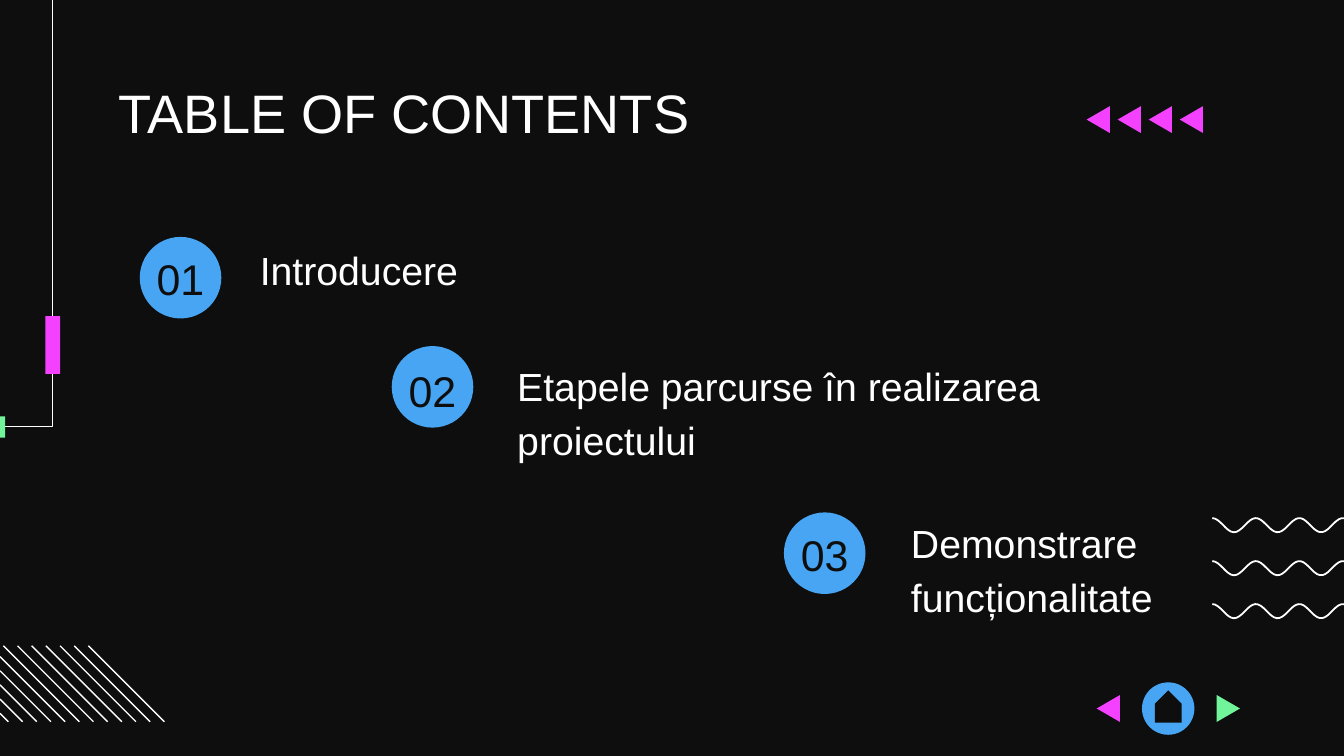
from math import cos, pi

from pptx import Presentation
from pptx.dml.color import RGBColor as Rgb
from pptx.enum.shapes import MSO_SHAPE as Preset
from pptx.enum.text import MSO_ANCHOR as Anchor, PP_ALIGN as Align
from pptx.util import Inches, Pt

COLUMNS = 100
SLIDE_WIDTH = Inches(10)
SLIDE_HEIGHT = SLIDE_WIDTH * 9 // 16
CELL = SLIDE_WIDTH / COLUMNS

COLORS = {
    "night": "0E0E0E",
    "white": "FFFFFF",
    "blue": "47A5F3",
    "pink": "F341FF",
    "green": "72F49A",
}
FONT = "Arial"

CHAPTERS = [
    ("01", "Introducere", (10.4, 17.63), 16.8, (18.35, 17.8), 31.6),
    ("02", "Etapele parcurse în realizarea proiectului", (29.15, 25.75), 25.15, (37.5, 26.45), 42.5),
    ("03", "Demonstrare funcționalitate", (58.33, 38.13), 37.3, (66.8, 38.1), 31.6),
]
BADGE = 6.07
LABEL_WIDTH = 9
ARROW_WIDTH, ARROW_HEIGHT = 1.73, 2


def grid(cells):
    return round(cells * CELL)


def color(name):
    return Rgb.from_string(COLORS[name])


def paint(shape, name):
    shape.shadow.inherit = False
    shape.fill.solid()
    shape.fill.fore_color.rgb = color(name)
    shape.line.fill.background()
    return shape


def add_preset(slide, preset, left, top, width, height, name):
    shape = slide.shapes.add_shape(preset, grid(left), grid(top), grid(width), grid(height))
    return paint(shape, name)


def add_outline(slide, points, closed):
    start, *rest = [(grid(x), grid(y)) for x, y in points]
    builder = slide.shapes.build_freeform(*start)
    builder.add_line_segments(rest, close=closed)
    return builder.convert_to_shape()


def add_stroke(slide, points, weight=0.75):
    stroke = add_outline(slide, points, False)
    stroke.shadow.inherit = False
    stroke.fill.background()
    stroke.line.color.rgb = color("white")
    stroke.line.width = Pt(weight)


def add_arrow(slide, left, top, name, points_left=True):
    right = left + ARROW_WIDTH
    tip, base = (left, right) if points_left else (right, left)
    corners = [(base, top), (tip, top + ARROW_HEIGHT / 2), (base, top + ARROW_HEIGHT)]
    paint(add_outline(slide, corners, True), name)


def add_text(slide, words, place, size, name, top_inset=0, align=Align.LEFT, spacing=1):
    box = slide.shapes.add_textbox(*map(grid, place))
    frame = box.text_frame
    frame.word_wrap = True
    frame.vertical_anchor = Anchor.TOP
    frame.margin_left = frame.margin_right = frame.margin_bottom = grid(1)
    frame.margin_top = grid(top_inset)
    paragraph = frame.paragraphs[0]
    paragraph.text = words
    paragraph.alignment = align
    paragraph.line_spacing = spacing
    paragraph.font.name = FONT
    paragraph.font.size = Pt(size)
    paragraph.font.color.rgb = color(name)


def add_waves(slide):
    left, depth, half_period, step = 90.2, 1.05, 1.62, 0.2
    for top in (38.55, 41.75, 44.95):
        xs = [left + step * i for i in range(50)]
        add_stroke(slide, [(x, top + depth / 2 * (1 - cos(pi * (x - left) / half_period)))
                           for x in xs], 0.95)


def add_stripes(slide):
    top, side, pitch, last = 48.05, 5.65, 1.055, 6.58
    for i in range(12):
        left = last - pitch * i
        cut = max(0, -left)
        add_stroke(slide, [(left + cut, top + cut), (left + side, top + side)])


def add_corner(slide):
    add_stroke(slide, [(0, 31.75), (3.9, 31.75), (3.9, 0)])
    add_preset(slide, Preset.RECTANGLE, 0, 30.98, 0.38, 1.6, "green")
    add_preset(slide, Preset.RECTANGLE, 3.37, 23.53, 1.1, 4.3, "pink")


def add_chapter(slide, number, subject, badge, label_top, subject_at, subject_width):
    left, top = badge
    add_preset(slide, Preset.OVAL, left, top, BADGE, BADGE, "blue")
    label_left = left + (BADGE - LABEL_WIDTH) / 2
    add_text(slide, number, (label_left, label_top, LABEL_WIDTH, BADGE), 23, "night",
             top_inset=2, align=Align.CENTER)
    add_text(slide, subject, (*subject_at, subject_width, 3.9), 21, "white", spacing=1.15)


def add_navigation(slide):
    add_preset(slide, Preset.OVAL, 84.97, 50.77, 3.9, 3.9, "blue")
    home = add_preset(slide, Preset.PENTAGON, 85.73, 51.57, 2.4, 2, "night")
    home.rotation = 270
    add_arrow(slide, 81.6, 51.72, "pink")
    add_arrow(slide, 90.53, 51.72, "green", points_left=False)


def main():
    deck = Presentation()
    deck.slide_width, deck.slide_height = SLIDE_WIDTH, SLIDE_HEIGHT
    slide = deck.slides.add_slide(deck.slide_layouts[6])
    slide.background.fill.solid()
    slide.background.fill.fore_color.rgb = color("night")

    add_waves(slide)
    add_stripes(slide)
    add_corner(slide)
    add_text(slide, "TABLE OF CONTENTS", (7.85, 5.9, 84.4, 4.6), 29, "white")
    for chapter in CHAPTERS:
        add_chapter(slide, *chapter)
    for i in range(4):
        add_arrow(slide, 80.85 + 2.31 * i, 7.9, "pink")
    add_navigation(slide)

    deck.save("out.pptx")


if __name__ == "__main__":
    main()
